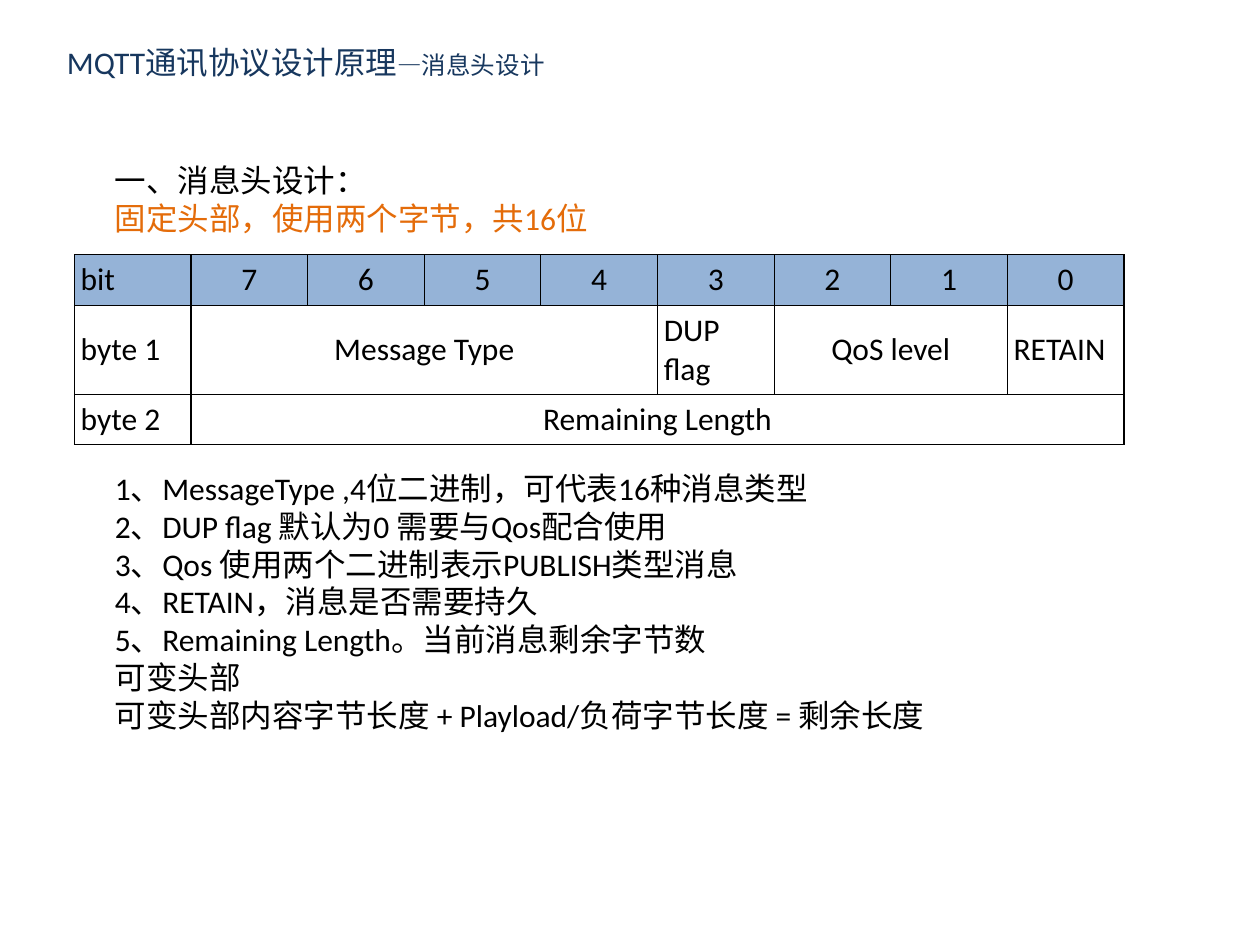
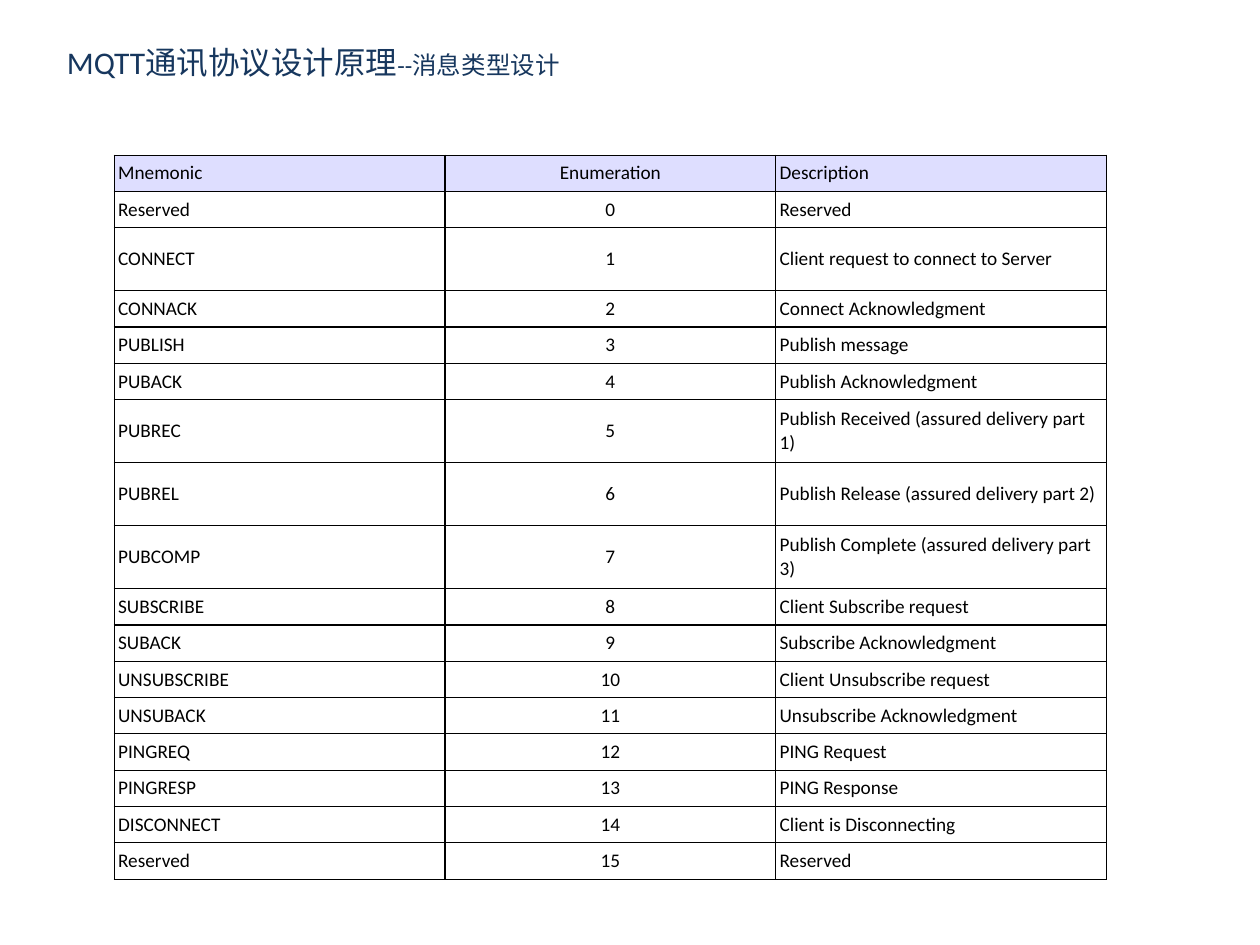
from dataclasses import dataclass

from pptx import Presentation
from pptx import util as u
from pptx.dml.color import RGBColor
from pptx.enum import text
from pptx.oxml import parse_xml
from pptx.oxml.ns import nsdecls


@dataclass(frozen=True)
class Theme:
    """Colours, font, type sizes and the title box, in points."""
    font: str = "Calibri"
    title_ink: str = "17375E"
    ink: str = "000000"
    accent: str = "E46C0A"
    bit_fill: str = "95B3D7"
    type_fill: str = "DEDEFF"
    body_size: float = 18
    topic_size: float = 14
    small_size: float = 11
    border: float = 0.75
    title_box: tuple = (31, 21, 425.5, 36.7)


THEME = Theme()
SUBJECT = "MQTT通讯协议设计原理"

HEADER_INTRO = [("一、消息头设计：", THEME.ink),
                ("固定头部，使用两个字节，共16位", THEME.accent)]
HEADER_BITS = [
    [("bit", 1)] + [(str(bit), 1) for bit in range(7, -1, -1)],
    [("byte 1", 1), ("Message Type", 4), ("DUP flag", 1), ("QoS level", 2), ("RETAIN", 1)],
    [("byte 2", 1), ("Remaining Length", 8)],
]
LEFT_ALIGNED = {"bit", "byte 1", "byte 2", "DUP flag", "RETAIN"}
FIELD_NOTES = [(note, THEME.ink) for note in (
    "1、MessageType ,4位二进制，可代表16种消息类型",
    "2、DUP flag 默认为0 需要与Qos配合使用",
    "3、Qos 使用两个二进制表示PUBLISH类型消息",
    "4、RETAIN，消息是否需要持久",
    "5、Remaining Length。当前消息剩余字节数",
    "可变头部",
    "可变头部内容字节长度 + Playload/负荷字节长度 = 剩余长度",
)]
MESSAGE_TYPES = [
    ("Reserved", "Reserved"),
    ("CONNECT", "Client request to connect to Server"),
    ("CONNACK", "Connect Acknowledgment"),
    ("PUBLISH", "Publish message"),
    ("PUBACK", "Publish Acknowledgment"),
    ("PUBREC", "Publish Received (assured delivery part 1)"),
    ("PUBREL", "Publish Release (assured delivery part 2)"),
    ("PUBCOMP", "Publish Complete (assured delivery part 3)"),
    ("SUBSCRIBE", "Client Subscribe request"),
    ("SUBACK", "Subscribe Acknowledgment"),
    ("UNSUBSCRIBE", "Client Unsubscribe request"),
    ("UNSUBACK", "Unsubscribe Acknowledgment"),
    ("PINGREQ", "PING Request"),
    ("PINGRESP", "PING Response"),
    ("DISCONNECT", "Client is Disconnecting"),
    ("Reserved", "Reserved"),
]
TALL_TYPES = {"CONNECT", "PUBREC", "PUBREL", "PUBCOMP"}


def points(box):
    """Turn a box of numbers into point lengths."""
    return [u.Pt(length) for length in box]


def add_run(paragraph, words, size, ink):
    """Append one formatted run."""
    run = paragraph.add_run()
    run.text = words
    run.font.name = THEME.font
    run.font.size = u.Pt(size)
    run.font.color.rgb = RGBColor.from_string(ink)


def add_titled_slide(deck, topic):
    """Add a title-only slide whose title joins the subject and a topic."""
    slide = deck.slides.add_slide(deck.slide_layouts[5])
    title = slide.shapes.title
    title.left, title.top, title.width, title.height = points(THEME.title_box)
    frame = title.text_frame
    frame.auto_size = text.MSO_AUTO_SIZE.NONE
    frame.vertical_anchor = text.MSO_ANCHOR.TOP
    heading = frame.paragraphs[0]
    heading.alignment = text.PP_ALIGN.LEFT
    add_run(heading, SUBJECT, THEME.body_size, THEME.title_ink)
    add_run(heading, topic, THEME.topic_size, THEME.title_ink)
    return slide


def add_lines(slide, box, lines):
    """Fill a box with one paragraph for each line and its colour."""
    frame = slide.shapes.add_textbox(*points(box)).text_frame
    frame.word_wrap = True
    for index, (words, ink) in enumerate(lines):
        paragraph = frame.paragraphs[0] if index == 0 else frame.add_paragraph()
        add_run(paragraph, words, THEME.body_size, ink)


def add_grid(slide, box, columns, heights, inset, header_fill):
    """Add a bordered table of equal columns with a filled header row."""
    grid = slide.shapes.add_table(len(heights), columns, *points(box)).table
    grid.first_row = grid.horz_banding = False
    for column in grid.columns:
        column.width = u.Pt(box[2] / columns)
    for row, height in zip(grid.rows, heights):
        row.height = u.Pt(height)
    for index, cell in enumerate(grid.iter_cells()):
        cell.margin_left = cell.margin_right = u.Pt(inset)
        cell.margin_top = cell.margin_bottom = u.Pt(inset)
        cell.vertical_anchor = text.MSO_ANCHOR.MIDDLE
        if index < columns:
            cell.fill.solid()
            cell.fill.fore_color.rgb = RGBColor.from_string(header_fill)
        else:
            cell.fill.background()
        add_borders(cell)
    return grid


def add_borders(cell):
    """Draw all four edges of a cell."""
    properties = cell._tc.get_or_add_tcPr()
    for position, side in enumerate("LRTB"):
        properties.insert(position, parse_xml(
            f'<a:ln{side} {nsdecls("a")} w="{u.Pt(THEME.border)}"><a:solidFill>'
            f'<a:srgbClr val="{THEME.ink}"/></a:solidFill></a:ln{side}>'))


def write_cell(cell, words, size, centred):
    """Write one cell's words."""
    paragraph = cell.text_frame.paragraphs[0]
    paragraph.alignment = text.PP_ALIGN.CENTER if centred else text.PP_ALIGN.LEFT
    add_run(paragraph, words, size, THEME.ink)


def add_bit_table(slide, box):
    """Lay out the two header bytes, merging fields wider than one bit."""
    byte_height = 29
    heights = [byte_height, box[3] - 2 * byte_height, byte_height]
    bits = add_grid(slide, box, 9, heights, 3.6, THEME.bit_fill)
    for row, fields in enumerate(HEADER_BITS):
        column = 0
        for field, width in fields:
            cell = bits.cell(row, column)
            if width > 1:
                cell.merge(bits.cell(row, column + width - 1))
            write_cell(cell, field, THEME.body_size, field not in LEFT_ALIGNED)
            column += width


def add_type_table(slide, box):
    """List each message type with its number and meaning."""
    rows = [("Mnemonic", "Enumeration", "Description")]
    rows += [(name, str(number), meaning)
             for number, (name, meaning) in enumerate(MESSAGE_TYPES)]
    tall = 36
    short = (box[3] - tall * len(TALL_TYPES)) / (len(rows) - len(TALL_TYPES))
    heights = [tall if row[0] in TALL_TYPES else short for row in rows]
    types = add_grid(slide, box, 3, heights, 2.2, THEME.type_fill)
    for row, entries in enumerate(rows):
        for column, words in enumerate(entries):
            write_cell(types.cell(row, column), words, THEME.small_size, column == 1)


def main():
    """Build and save both slides."""
    deck = Presentation()
    deck.slide_width, deck.slide_height = u.Pt(720), u.Pt(540)

    header_slide = add_titled_slide(deck, "—消息头设计")
    add_lines(header_slide, (58.5, 88.5, 546, 72.7), HEADER_INTRO)
    add_bit_table(header_slide, (42.5, 145.5, 600, 108.7))
    add_lines(header_slide, (58.5, 264.5, 506, 160), FIELD_NOTES)

    type_slide = add_titled_slide(deck, "--消息类型设计")
    add_type_table(type_slide, (65.3, 88.6, 567, 414))

    deck.save("out.pptx")


if __name__ == "__main__":
    main()
